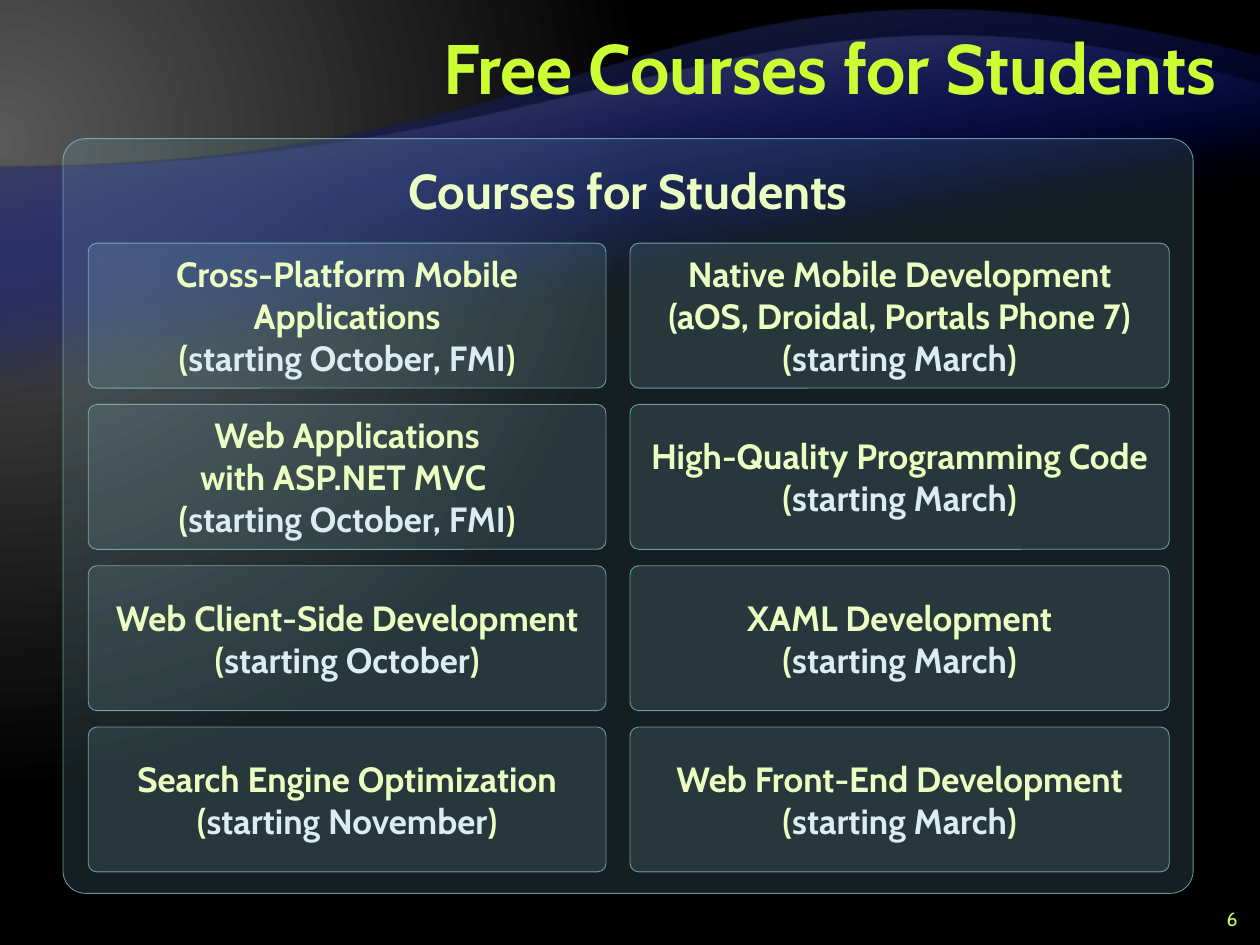
from dataclasses import dataclass
from lxml.etree import SubElement
from pptx import Presentation
from pptx.dml.color import RGBColor
from pptx.enum.shapes import MSO_SHAPE
from pptx.enum.text import MSO_ANCHOR, PP_ALIGN
from pptx.oxml.ns import qn
from pptx.util import Inches, Pt


@dataclass
class Theme:
    font: str = "Cabin"
    title: str = "CCFF33"
    text: str = "EBFFC2"
    date: str = "DAEDF2"
    number: str = "CCFF66"
    glass: str = "90CAD7"
    blue: str = "000D9E"
    gray: str = "595959"
    dark: str = "262626"
    black: str = "000000"
    big: int = 40
    head: int = 28
    body: int = 20
    small: int = 11


theme = Theme()


def style(para, size, color, bold=True, align=PP_ALIGN.CENTER):
    para.alignment = align
    for run in para.runs:
        font = run.font
        font.name, font.size, font.bold = theme.font, Pt(size), bold
        font.color.rgb = RGBColor.from_string(color)


def add_glass(left, top, width, height, round_by, anchor):
    box = slide.shapes.add_shape(
        MSO_SHAPE.ROUNDED_RECTANGLE,
        Inches(left), Inches(top), Inches(width), Inches(height))
    box.shadow.inherit = False
    box.adjustments[0] = round_by
    box.fill.solid()
    box.fill.fore_color.rgb = RGBColor.from_string(theme.glass)
    box.line.color.rgb = RGBColor.from_string(theme.glass)
    box.line.width = Pt(0.5)
    # Fill at 15 % and line at 70 % opacity
    tints = box.element.spPr.iter(qn("a:srgbClr"))
    for tint, alpha in zip(tints, (15, 70)):
        SubElement(tint, qn("a:alpha"), val=str(alpha * 1000))
    frame = box.text_frame
    frame.word_wrap = True
    frame.vertical_anchor = anchor
    frame.margin_left = frame.margin_right = Inches(0.12)
    frame.margin_top = frame.margin_bottom = Inches(0.12)
    return frame


prs = Presentation()
prs.slide_width, prs.slide_height = Inches(10), Inches(7.5)
slide = prs.slides.add_slide(prs.slide_layouts[5])

# Background: round glow at the upper left
fill = slide.background.fill
fill.gradient()
for stop, color, place in zip(fill.gradient_stops, (theme.gray, theme.black), (0, 0.83)):
    stop.color.rgb = RGBColor.from_string(color)
    stop.position = place
grad = slide.element.find(".//" + qn("a:gradFill"))
grad.remove(grad.find(qn("a:lin")))
glow = SubElement(grad, qn("a:path"), path="circle")
SubElement(glow, qn("a:fillToRect"), l="20000", t="30000", r="135000", b="100000")

# Waves: base, right end, two curve handles, top color
waves = [
    (6.53, 0.45, (5, 1.33), (5.34, -0.75), theme.dark),
    (5.57, 0.67, (5, 1.33), (5.98, -0.49), theme.gray),
]
for base, end, near, far, color in waves:
    form = slide.shapes.build_freeform(Inches(10), Inches(base))
    form.add_line_segments([
        (Inches(0), Inches(base)), (Inches(0), Inches(1.33)),
        (Inches(10), Inches(end))], close=True)
    wave = form.convert_to_shape()
    wave.shadow.inherit = False
    wave.line.fill.background()
    wave.fill.gradient()
    wave.fill.gradient_angle = 100
    stops = wave.fill.gradient_stops
    for stop, tint, place in zip(stops, (theme.blue, color), (0.65, 1)):
        stop.color.rgb = RGBColor.from_string(tint)
        stop.position = place
    clear = next(wave.element.spPr.iter(qn("a:srgbClr")))
    SubElement(clear, qn("a:alpha"), val="0")
    # Bend the top edge
    edge = list(wave.element.iter(qn("a:lnTo")))[2]
    curve = edge.makeelement(qn("a:cubicBezTo"))
    for x, y in (near, far, (10, end)):
        SubElement(curve, qn("a:pt"), x=str(Inches(x)), y=str(Inches(y - end)))
    edge.getparent().replace(edge, curve)

# Panel
frame = add_glass(0.5, 1.1, 8.97, 5.99, 0.03, MSO_ANCHOR.TOP)
frame.text = "Courses for Students"
style(frame.paragraphs[0], theme.head, theme.text)

# Course cards: two columns, four rows
columns = [
    (0.7, 4.11, [
        ("Cross-Platform Mobile Applications", "starting October, FMI"),
        ("Web Applications\vwith ASP.NET MVC ", "starting October, FMI"),
        ("Web Client-Side Development", "starting October"),
        ("Search Engine Optimization", "starting November"),
    ]),
    (5, 4.28, [
        ("Native Mobile Development\v(aOS, Droidal, Portals Phone 7)", "starting March"),
        ("High-Quality Programming Code", "starting March"),
        ("XAML Development", "starting March"),
        ("Web Front-End Development", "starting March"),
    ]),
]
for left, width, cards in columns:
    for row, (name, date) in enumerate(cards):
        frame = add_glass(left, 1.93 + 1.28 * row, width, 1.15, 0.06, MSO_ANCHOR.MIDDLE)
        frame.text = name
        style(frame.paragraphs[0], theme.body, theme.text)
        para = frame.add_paragraph()
        for part in ("(", date, ")"):
            para.add_run().text = part
        style(para, theme.body, theme.text)
        para.runs[1].font.color.rgb = RGBColor.from_string(theme.date)

# Slide number
box = slide.shapes.add_textbox(Inches(9.42), Inches(7.17), Inches(0.5), Inches(0.25))
frame = box.text_frame
frame.word_wrap = True
frame.vertical_anchor = MSO_ANCHOR.MIDDLE
frame.text = "6"
style(frame.paragraphs[0], theme.small, theme.number, False, PP_ALIGN.RIGHT)

# Title, in front of the waves
title = slide.shapes.title
title.left, title.top = Inches(2), Inches(0.08)
title.width, title.height = Inches(7.75), Inches(1)
frame = title.text_frame
frame.vertical_anchor = MSO_ANCHOR.MIDDLE
frame.text = "Free Courses for Students"
style(frame.paragraphs[0], theme.big, theme.title, True, PP_ALIGN.RIGHT)
frame.paragraphs[0].line_spacing = Pt(40)
title.element.getparent().append(title.element)

prs.save("out.pptx")
